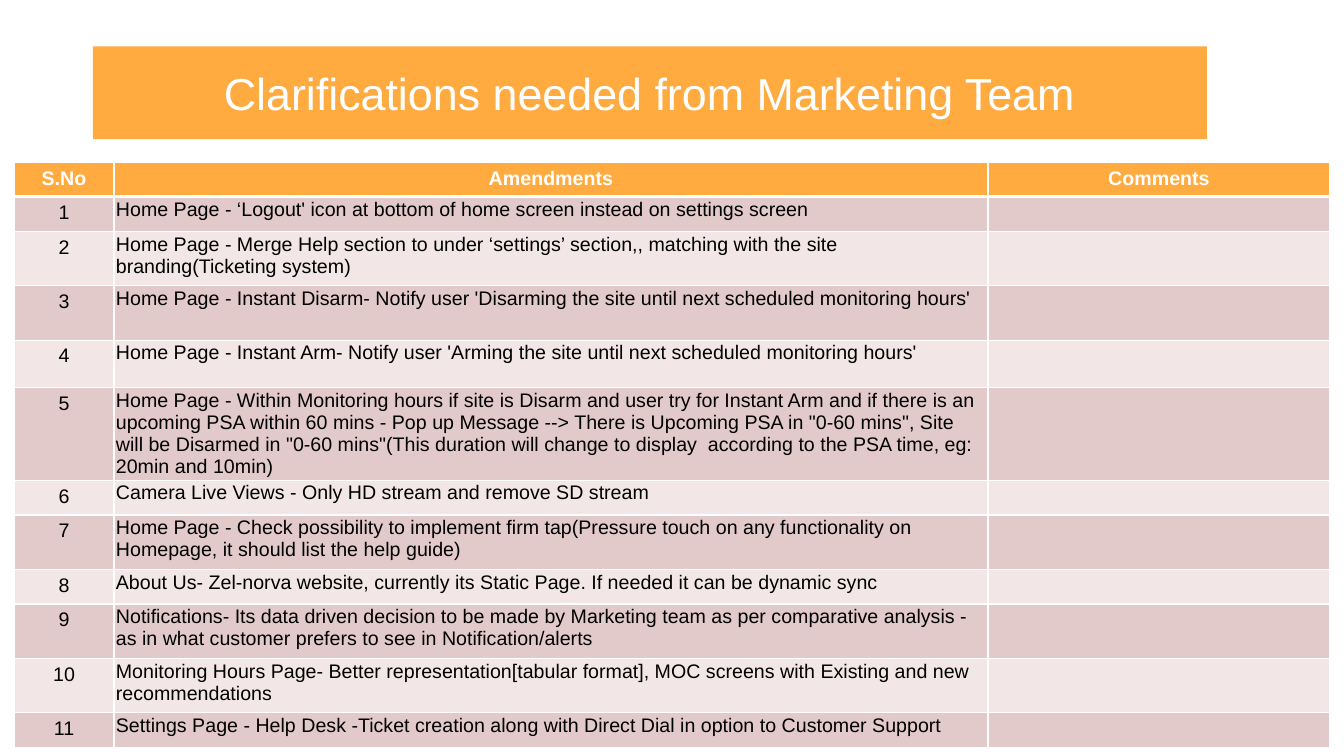
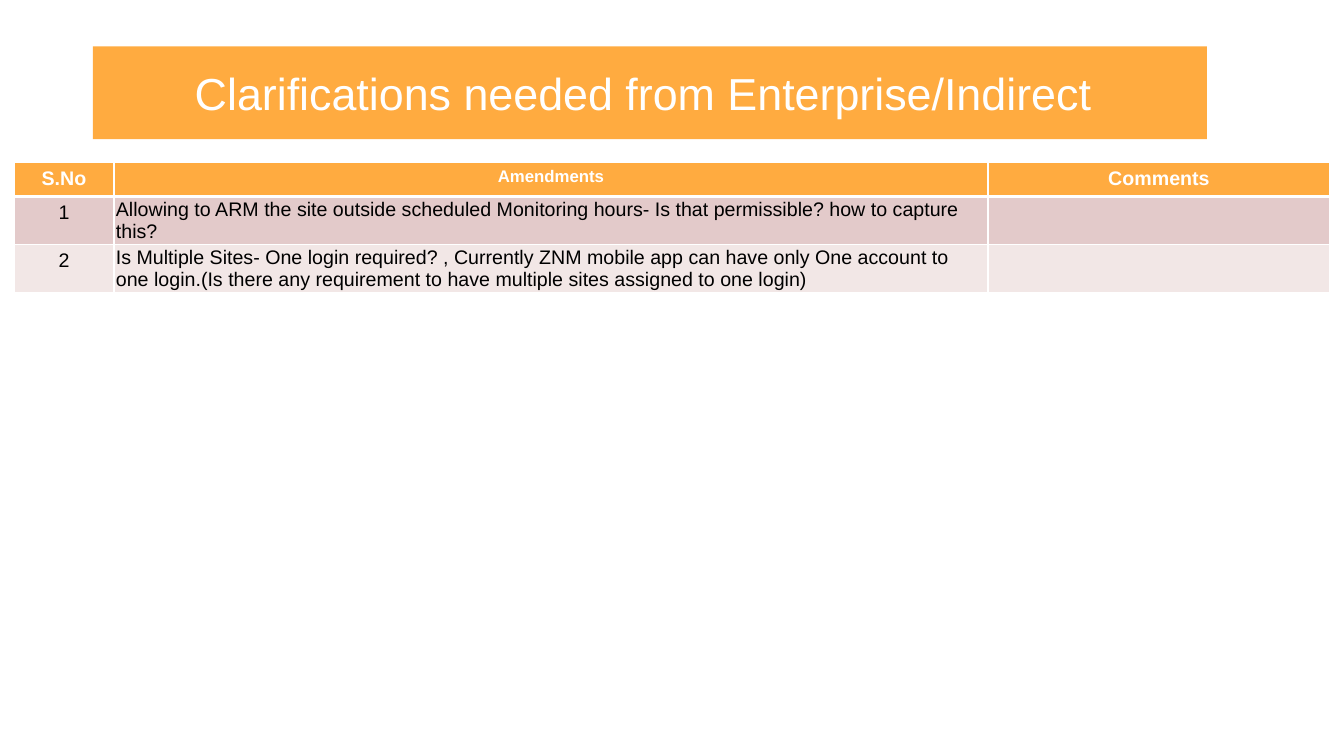
import pptx
import pptx.dml.color
import pptx.enum.text
import pptx.oxml.ns
import pptx.util
import lxml.etree

EMU_PER_PX = 9144
SLIDE_SIZE = (1333, 750)
TITLE_BOX = (92, 46, 1105, 92)
TABLE_LEFT, TABLE_TOP = 14, 161
COLUMN_WIDTHS = (99, 867, 339)
HEADER_HEIGHT = 34
HEADERS = ("S.No", "Amendments", "Comments")
WIDE_MARGINS = (10, 5)
TIGHT_MARGINS = (2, 2)

ORANGE = pptx.dml.color.RGBColor(0xFF, 0xAB, 0x40)
DARK_BAND = pptx.dml.color.RGBColor(0xE3, 0xCA, 0xCA)
LIGHT_BAND = pptx.dml.color.RGBColor(0xF2, 0xE7, 0xE6)
WHITE = pptx.dml.color.RGBColor(0xFF, 0xFF, 0xFF)
BLACK = pptx.dml.color.RGBColor(0x00, 0x00, 0x00)
FONT = "Arial"
LEFT = pptx.enum.text.PP_ALIGN.LEFT
CENTER = pptx.enum.text.PP_ALIGN.CENTER

MARKETING_ROWS = (
    (34, "Home Page - ‘Logout' icon at bottom of home screen instead on settings screen"),
    (54, "Home Page - Merge Help section to under ‘settings’ section,, matching with the site "
         "branding(Ticketing system)"),
    (54, "Home Page - Instant Disarm- Notify user 'Disarming the site until next scheduled "
         "monitoring hours'"),
    (47, "Home Page - Instant Arm- Notify user 'Arming the site until next scheduled "
         "monitoring hours'"),
    (92, "Home Page - Within Monitoring hours if site is Disarm and user try for Instant Arm "
         "and if there is an upcoming PSA within 60 mins - Pop up Message --> There is Upcoming "
         "PSA in \"0-60 mins\", Site will be Disarmed in \"0-60 mins\"(This duration will change "
         "to display  according to the PSA time, eg: 20min and 10min)"),
    (34, "Camera Live Views - Only HD stream and remove SD stream"),
    (54, "Home Page - Check possibility to implement firm tap(Pressure touch on any "
         "functionality on Homepage, it should list the help guide)"),
    (34, "About Us- Zel-norva website, currently its Static Page. If needed it can be dynamic sync"),
    (54, "Notifications- Its data driven decision to be made by Marketing team as per "
         "comparative analysis - as in what customer prefers to see in Notification/alerts"),
    (54, "Monitoring Hours Page- Better representation[tabular format], MOC screens with "
         "Existing and new recommendations"),
    (34, "Settings Page - Help Desk -Ticket creation along with Direct Dial in option to "
         "Customer Support"),
)
ENTERPRISE_ROWS = (
    (47, "Allowing to ARM the site outside scheduled Monitoring hours- Is that permissible? "
         "how to capture this?"),
    (47, "Is Multiple Sites- One login required? , Currently ZNM mobile app can have only One "
         "account to one login.(Is there any requirement to have multiple sites assigned to "
         "one login)"),
)


def px(length):
    return pptx.util.Emu(length * EMU_PER_PX)


def write_text(text_frame, text, size, color, alignment, bold=False):
    text_frame.text = text
    paragraph = text_frame.paragraphs[0]
    paragraph.alignment = alignment
    for run in paragraph.runs:
        run.font.name = FONT
        run.font.size = pptx.util.Pt(size)
        run.font.bold = bold
        run.font.color.rgb = color


def add_title(slide, text):
    title = slide.shapes.title
    title.left, title.top, title.width, title.height = map(px, TITLE_BOX)
    title.fill.solid()
    title.fill.fore_color.rgb = ORANGE
    text_frame = title.text_frame
    text_frame.auto_size = pptx.enum.text.MSO_AUTO_SIZE.NONE
    text_frame.vertical_anchor = pptx.enum.text.MSO_ANCHOR.MIDDLE
    write_text(text_frame, text, 32, WHITE, CENTER)


def add_borders(cell, top, bottom):
    properties = cell._tc.get_or_add_tcPr()
    qn = pptx.oxml.ns.qn
    for side, width in (("L", 1), ("R", 1), ("T", top), ("B", bottom)):
        line = lxml.etree.SubElement(properties, qn(f"a:ln{side}"), w=str(pptx.util.Pt(width)))
        fill = lxml.etree.SubElement(line, qn("a:solidFill"))
        lxml.etree.SubElement(fill, qn("a:srgbClr"), val=str(WHITE))


def format_cell(cell, fill, margins, top=1, bottom=1):
    cell.margin_left = cell.margin_right = px(margins[0])
    cell.margin_top = cell.margin_bottom = px(margins[1])
    add_borders(cell, top, bottom)
    cell.fill.solid()
    cell.fill.fore_color.rgb = fill


def add_amendments_table(slide, rows, amendments_size):
    heights = [HEADER_HEIGHT] + [height for height, text in rows]
    frame = slide.shapes.add_table(
        len(heights), len(HEADERS), px(TABLE_LEFT), px(TABLE_TOP),
        px(sum(COLUMN_WIDTHS)), px(sum(heights)))
    table = frame.table
    table.horz_banding = False
    for column, width in zip(table.columns, COLUMN_WIDTHS):
        column.width = px(width)
    for row, height in zip(table.rows, heights):
        row.height = px(height)

    for index, (header, size) in enumerate(zip(HEADERS, (14, amendments_size, 14))):
        cell = table.cell(0, index)
        format_cell(cell, ORANGE, WIDE_MARGINS, bottom=3)
        write_text(cell.text_frame, header, size, WHITE, CENTER, bold=True)

    for number, (height, amendment) in enumerate(rows, start=1):
        band = DARK_BAND if number % 2 else LIGHT_BAND
        top = 3 if number == 1 else 1
        number_cell, amendment_cell, comment_cell = table.rows[number].cells
        format_cell(number_cell, band, WIDE_MARGINS, top)
        format_cell(amendment_cell, band, TIGHT_MARGINS, top)
        format_cell(comment_cell, band, TIGHT_MARGINS, top)
        write_text(number_cell.text_frame, str(number), 14, BLACK, CENTER)
        write_text(amendment_cell.text_frame, amendment, 14, BLACK, LEFT)


def add_clarifications_slide(presentation, title, rows, amendments_size):
    slide = presentation.slides.add_slide(presentation.slide_layouts[5])
    add_title(slide, title)
    add_amendments_table(slide, rows, amendments_size)


def main():
    presentation = pptx.Presentation()
    presentation.slide_width, presentation.slide_height = map(px, SLIDE_SIZE)
    add_clarifications_slide(
        presentation, "Clarifications needed from Marketing Team", MARKETING_ROWS, 14)
    add_clarifications_slide(
        presentation, "Clarifications needed from Enterprise/Indirect ", ENTERPRISE_ROWS, 12)
    presentation.save("out.pptx")


if __name__ == "__main__":
    main()
